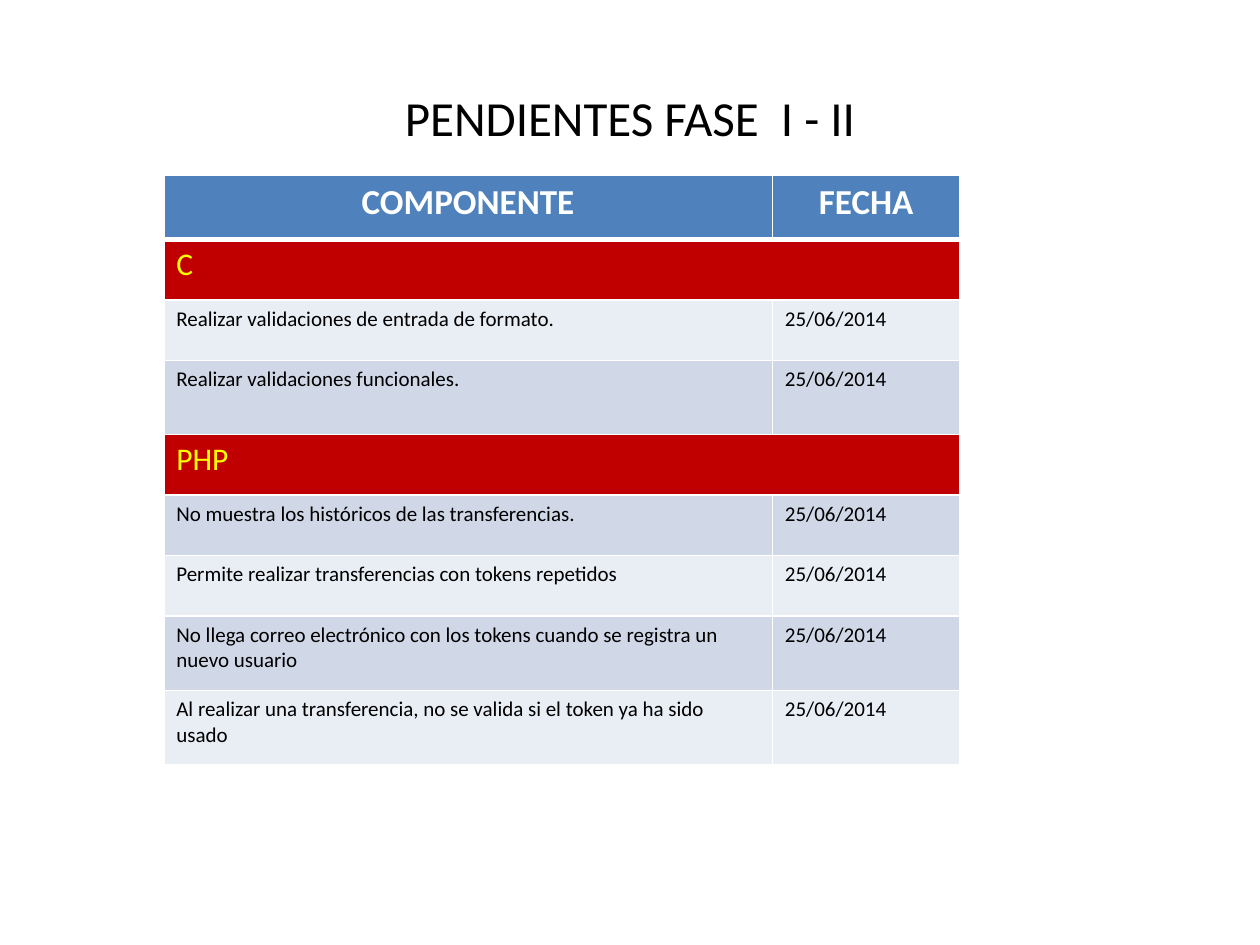
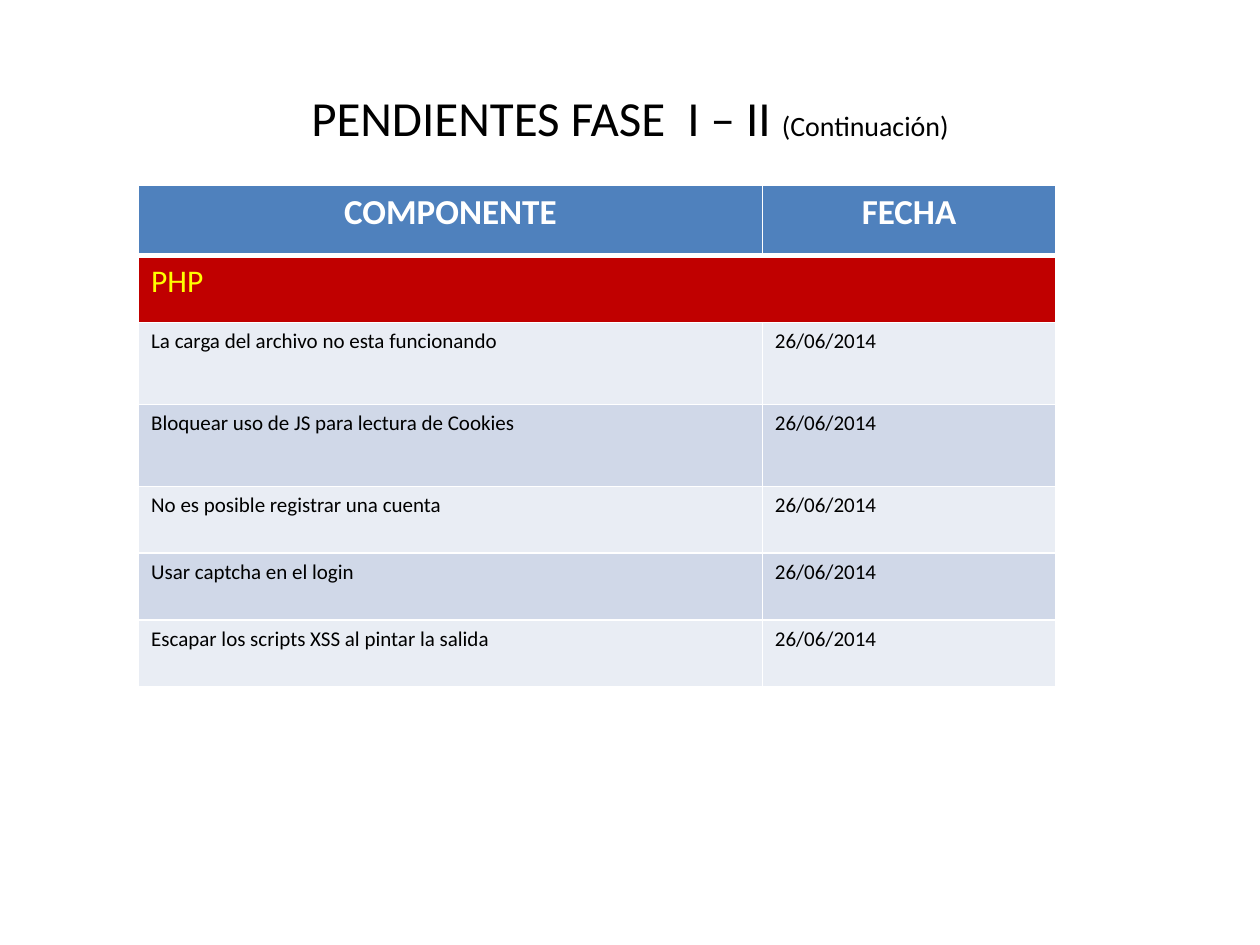
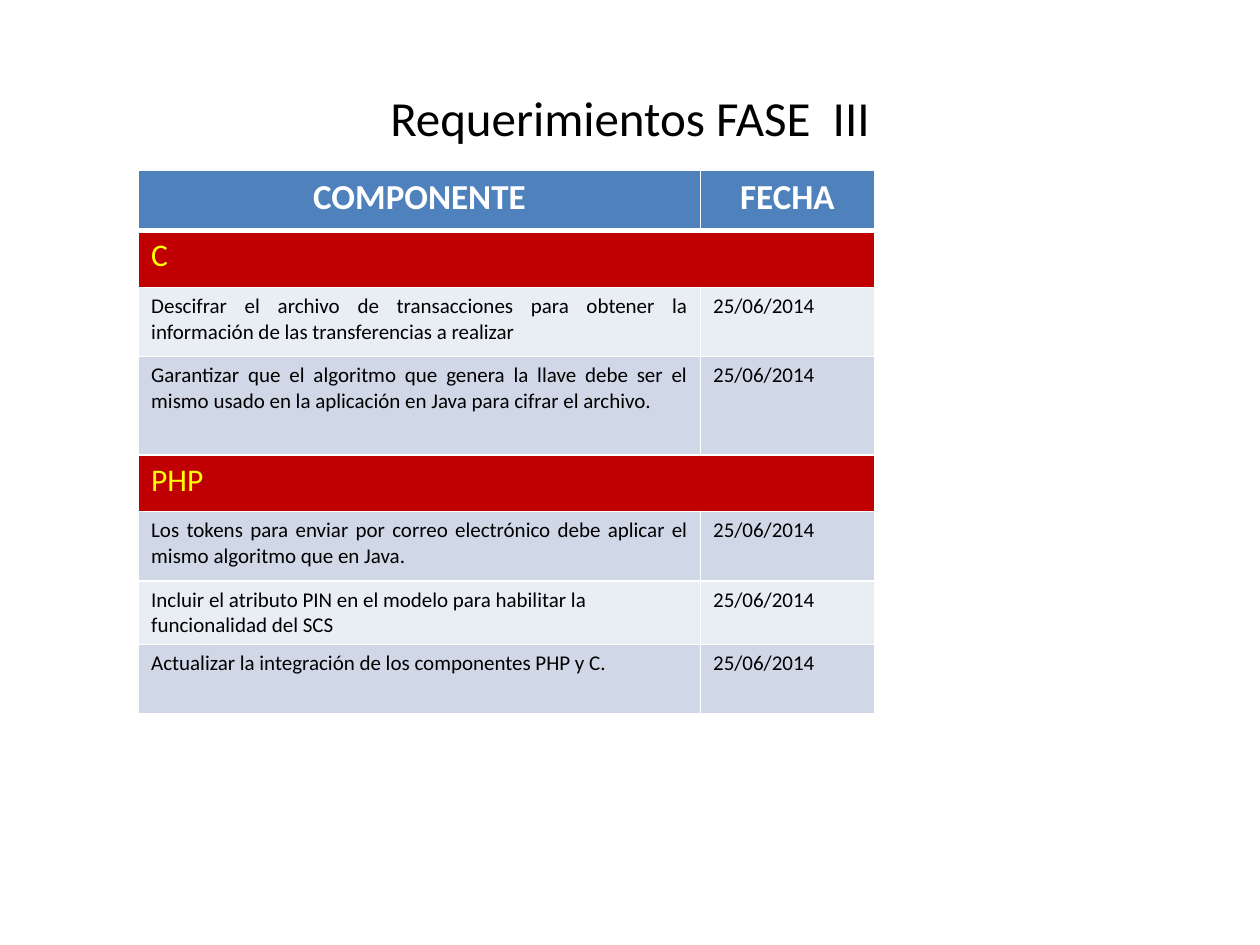
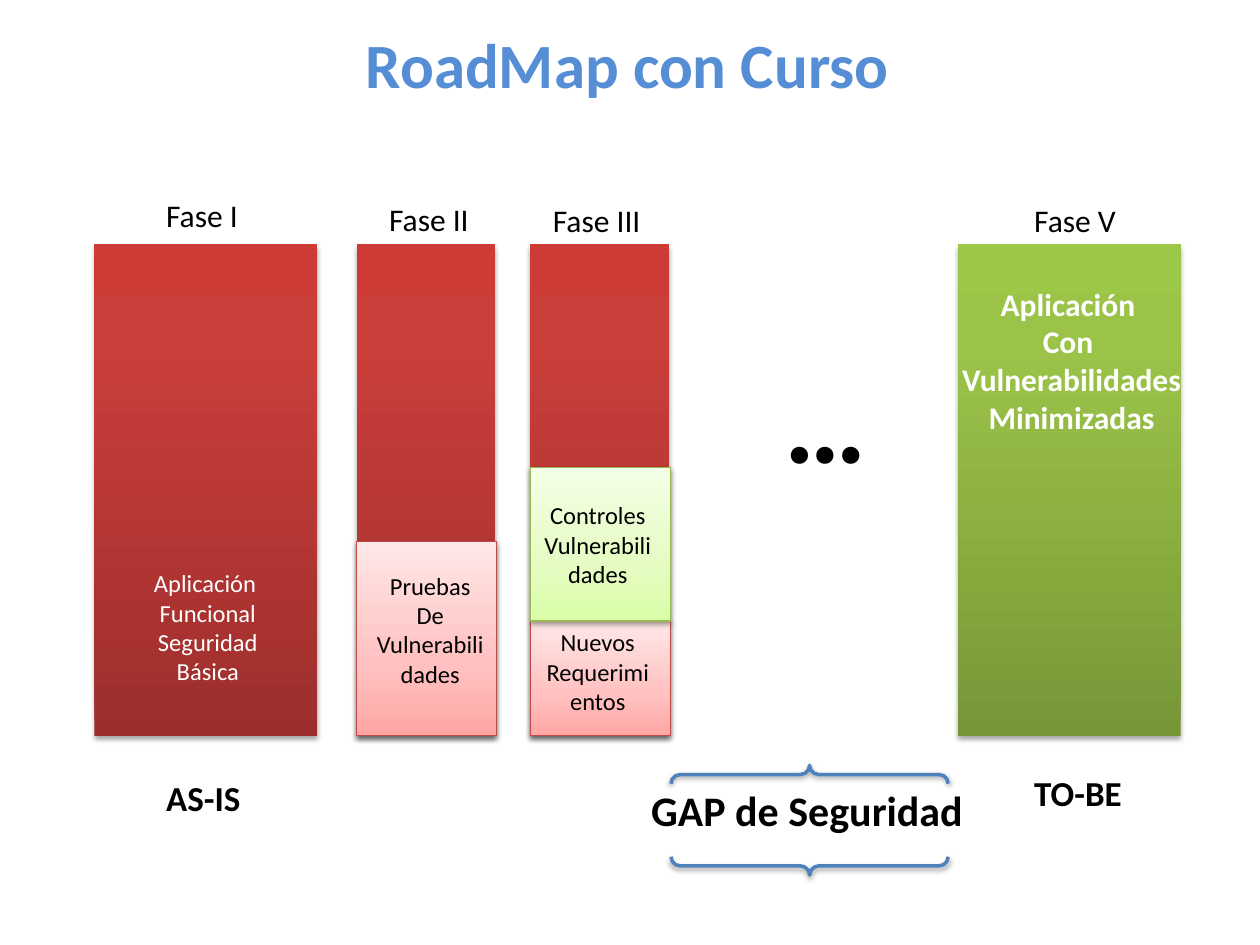
from lxml import etree
from pptx import Presentation
from pptx.dml.color import RGBColor
from pptx.enum.shapes import MSO_SHAPE
from pptx.enum.text import MSO_ANCHOR, MSO_AUTO_SIZE, PP_ALIGN
from pptx.oxml.ns import qn
from pptx.util import Inches, Pt

FONT = "Calibri"
BLACK = RGBColor(0x00, 0x00, 0x00)
WHITE = RGBColor(0xFF, 0xFF, 0xFF)
BLUE = RGBColor(0x4F, 0x81, 0xBD)
TITLE_BLUE = RGBColor(0x55, 0x8E, 0xD5)
RED = RGBColor(0xC0, 0x00, 0x00)
YELLOW = RGBColor(0xFF, 0xFF, 0x00)
LIGHT_BAND = RGBColor(0xE9, 0xED, 0xF4)
DARK_BAND = RGBColor(0xD0, 0xD8, 0xE8)
PINK_LINE = RGBColor(0xBF, 0x4C, 0x48)
LIME_LINE = RGBColor(0x98, 0xB9, 0x55)

RED_GRAD = [(0, "9C2F2D"), (80, "CB3E3A"), (100, "CE3B37")]
GREEN_GRAD = [(0, "779737"), (80, "9BC348"), (100, "9DC746")]
PINK_GRAD = [(0, "FFA6A5"), (35, "FFC0BF"), (100, "FFE7E7")]
LIME_GRAD = [(0, "DAFDA7"), (35, "E4FCC2"), (100, "F5FFE7")]

LEFT, CENTER, JUSTIFY = PP_ALIGN.LEFT, PP_ALIGN.CENTER, PP_ALIGN.JUSTIFY
TITLE_BOX = (0.5, 0.3, 9, 1.25)
HEADERS = ("COMPONENTE", "FECHA")

TABLE_SLIDES = [
    {
        "title": [("PENDIENTES FASE  I - II", 28)],
        "at": (1.3, 1.39),
        "cols": (4.83, 1.49),
        "heights": (0.51, 0.48, 0.48, 0.59, 0.48, 0.48, 0.48, 0.59, 0.59),
        "date": "25/06/2014",
        "sections": [
            ("C", [
                ("Realizar validaciones de entrada de formato.", LEFT),
                ("Realizar validaciones funcionales.", LEFT),
            ]),
            ("PHP", [
                ("No muestra los históricos de las transferencias.", JUSTIFY),
                ("Permite realizar transferencias con tokens repetidos", LEFT),
                ("No llega correo electrónico con los tokens cuando se registra un nuevo usuario", LEFT),
                ("Al realizar una transferencia, no se valida si el token ya ha sido usado", LEFT),
            ]),
        ],
    },
    {
        "title": [("PENDIENTES FASE  I – II ", 28), ("(Continuación)", 16)],
        "at": (1.1, 1.47),
        "cols": (4.95, 2.33),
        "heights": (0.56, 0.53, 0.65, 0.65, 0.53, 0.53, 0.53),
        "date": "26/06/2014",
        "sections": [
            ("PHP", [
                ("La carga del archivo no esta funcionando", LEFT),
                ("Bloquear uso de JS para lectura de Cookies", JUSTIFY),
                ("No es posible registrar una cuenta", LEFT),
                ("Usar captcha en el login", LEFT),
                ("Escapar los scripts XSS al pintar la salida", LEFT),
            ]),
        ],
    },
    {
        "title": [("Requerimientos FASE  III", 28)],
        "at": (1.1, 1.35),
        "cols": (4.46, 1.38),
        "heights": (0.48, 0.45, 0.55, 0.78, 0.45, 0.55, 0.45, 0.55),
        "date": "25/06/2014",
        "sections": [
            ("C", [
                ("Descifrar el archivo de transacciones para obtener la información de las transferencias a realizar", JUSTIFY),
                ("Garantizar que el algoritmo que genera la llave debe ser el mismo usado en la aplicación en Java para cifrar el archivo.", JUSTIFY),
            ]),
            ("PHP", [
                ("Los tokens para enviar por correo electrónico debe aplicar el mismo algoritmo que en Java.", JUSTIFY),
                ("Incluir el atributo PIN en el modelo para habilitar la funcionalidad del SCS", LEFT),
                ("Actualizar la integración de los componentes PHP y C.", LEFT),
            ]),
        ],
    },
]

BAR_TOP, BAR_BOTTOM = 1.94, 5.84
BARS = [
    (0.75, 1.77, RED_GRAD),
    (7.6, 1.77, GREEN_GRAD),
    (2.83, 1.1, RED_GRAD),
    (4.21, 1.1, RED_GRAD),
]
BLOCK_WIDTH = 1.11
BLOCKS = [
    (2.83, 4.3, BAR_BOTTOM, PINK_GRAD, PINK_LINE),
    (4.21, 4.93, BAR_BOTTOM, PINK_GRAD, PINK_LINE),
    (4.21, 3.71, 4.93, LIME_GRAD, LIME_LINE),
]
GAP_BRACE = (5.99, 5.41, 0.87, 2.2)

PHASES = [
    ("Fase I", (1.22, 1.51, 0.78, 0.4)),
    ("Fase II", (2.99, 1.54, 0.84, 0.4)),
    ("Fase III", (4.29, 1.55, 0.9, 0.4)),
    ("Fase V", (8.11, 1.55, 0.86, 0.4)),
]
CAPTIONS = [
    ("AS-IS", (1.22, 6.11, 0.81, 0.44), 20),
    ("TO-BE", (8.11, 6.07, 0.91, 0.44), 20),
    ("GAP de Seguridad", (5.07, 6.18, 2.7, 0.5), 24),
]
BAR_TEXTS = [
    (["Aplicación ", "Funcional", "Seguridad", "Básica"], (1.12, 4.46, 1.06, 1.04), 14, False),
    (["Aplicación ", "Con ", "Vulnerabilidades", "Minimizadas"], (7.52, 2.21, 1.97, 1.31), 18, True),
]
BLOCK_TEXTS = [
    (["Pruebas", "De", "Vulnerabilidades"], (2.88, 4.48, 1.07, 1.04)),
    (["Nuevos", "Requerimientos"], (4.21, 4.93, 1.07, 0.81)),
    (["Controles", "Vulnerabilidades"], (4.21, 3.92, 1.07, 0.81)),
]


def box(at):
    return [Inches(v) for v in at]


def add_run(p, text, size, color=BLACK, bold=False):
    r = p.add_run()
    r.text = text
    r.font.name = FONT
    r.font.size = Pt(size)
    r.font.bold = bold
    r.font.color.rgb = color


def add_titled_slide(prs, runs, at=TITLE_BOX, color=BLACK, bold=False):
    s = prs.slides.add_slide(prs.slide_layouts[5])
    title = s.shapes.title
    title.left, title.top, title.width, title.height = box(at)
    tf = title.text_frame
    tf.vertical_anchor = MSO_ANCHOR.MIDDLE
    p = tf.paragraphs[0]
    p.alignment = CENTER
    for text, size in runs:
        add_run(p, text, size, color, bold)
    return s


def add_border(cell, side, width):
    ln = etree.SubElement(cell._tc.get_or_add_tcPr(), qn(f"a:ln{side}"), w=str(Pt(width)))
    fill = etree.SubElement(ln, qn("a:solidFill"))
    etree.SubElement(fill, qn("a:srgbClr"), val=str(WHITE))


def fill_cell(cell, row, text, fill, size, color, align=LEFT, bold=False):
    thick = {(0, "B"), (1, "T")}
    for side in "LRTB":
        add_border(cell, side, 3 if (row, side) in thick else 1)
    cell.fill.solid()
    cell.fill.fore_color.rgb = fill
    p = cell.text_frame.paragraphs[0]
    p.alignment = align
    if text:
        add_run(p, text, size, color, bold)


def add_task_table(s, data):
    cols, heights = data["cols"], data["heights"]
    at = (*data["at"], sum(cols), sum(heights))
    table = s.shapes.add_table(len(heights), len(cols), *box(at)).table
    table.horz_banding = False
    for col, width in zip(table.columns, cols):
        col.width = Inches(width)
    for row, height in zip(table.rows, heights):
        row.height = Inches(height)
    for c, header in enumerate(HEADERS):
        fill_cell(table.cell(0, c), 0, header, BLUE, 20, WHITE, CENTER, True)
    row = 1
    for name, tasks in data["sections"]:
        for c, text in enumerate((name, "")):
            fill_cell(table.cell(row, c), row, text, RED, 18, YELLOW)
        table.cell(row, 0).merge(table.cell(row, 1))
        row += 1
        for task, align in tasks:
            band = DARK_BAND if row % 2 else LIGHT_BAND
            fill_cell(table.cell(row, 0), row, task, band, 12, BLACK, align)
            fill_cell(table.cell(row, 1), row, data["date"], band, 12, BLACK)
            row += 1


def add_shadow(sp, alpha, distance):
    sp.shadow.inherit = False
    effects = sp._element.spPr.find(qn("a:effectLst"))
    shadow = etree.SubElement(effects, qn("a:outerShdw"), blurRad=str(Pt(3.1)),
                              dist=str(Pt(distance)), dir="5400000", rotWithShape="0")
    color = etree.SubElement(shadow, qn("a:srgbClr"), val=str(BLACK))
    etree.SubElement(color, qn("a:alpha"), val=str(alpha * 1000))


def add_gradient_rect(s, at, stops, line=None):
    sp = s.shapes.add_shape(MSO_SHAPE.RECTANGLE, *box(at))
    sp.fill.gradient()
    sp.fill.gradient_angle = 90
    stop_list = sp._element.spPr.find(f"{qn('a:gradFill')}/{qn('a:gsLst')}")
    for old in list(stop_list):
        stop_list.remove(old)
    for pos, color in stops:
        stop = etree.SubElement(stop_list, qn("a:gs"), pos=str(pos * 1000))
        etree.SubElement(stop, qn("a:srgbClr"), val=color)
    if line is None:
        sp.line.fill.background()
        add_shadow(sp, 35, 1.8)
    else:
        sp.line.color.rgb = line
        sp.line.width = Pt(0.75)
        add_shadow(sp, 38, 1.6)


def add_text(s, lines, at, size, color=BLACK, bold=False, align=LEFT, wrap=False):
    tf = s.shapes.add_textbox(*box(at)).text_frame
    tf.word_wrap = wrap
    tf.auto_size = MSO_AUTO_SIZE.SHAPE_TO_FIT_TEXT
    for i, line in enumerate(lines):
        p = tf.add_paragraph() if i else tf.paragraphs[0]
        p.alignment = align
        add_run(p, line, size, color, bold)


def add_roadmap(prs):
    s = add_titled_slide(prs, [("RoadMap con Curso", 36)], (0.59, 0.15, 8.78, 0.71), TITLE_BLUE, True)
    for left, width, stops in BARS:
        add_gradient_rect(s, (left, BAR_TOP, width, BAR_BOTTOM - BAR_TOP), stops)
    for left, top, bottom, stops, line in BLOCKS:
        add_gradient_rect(s, (left, top, BLOCK_WIDTH, bottom - top), stops, line)

    brace = s.shapes.add_shape(MSO_SHAPE.DOUBLE_BRACE, *box(GAP_BRACE))
    brace.rotation = 90
    brace.fill.background()
    brace.line.color.rgb = BLUE
    brace.line.width = Pt(2)
    add_shadow(brace, 38, 1.6)

    for text, at in PHASES:
        add_text(s, [text], at, 18)
    for text, at, size in CAPTIONS:
        add_text(s, [text], at, size, bold=True)
    for lines, at, size, bold in BAR_TEXTS:
        add_text(s, lines, at, size, WHITE, bold, CENTER)
    for lines, at in BLOCK_TEXTS:
        add_text(s, lines, at, 14, align=CENTER, wrap=True)
    add_text(s, ["…"], (5.87, 2.71, 1.36, 1.21), 66, bold=True, align=CENTER, wrap=True)


def main():
    prs = Presentation()
    prs.slide_width, prs.slide_height = Inches(10), Inches(7.5)
    for data in TABLE_SLIDES:
        add_task_table(add_titled_slide(prs, data["title"]), data)
    add_roadmap(prs)
    prs.save("out.pptx")


if __name__ == "__main__":
    main()
